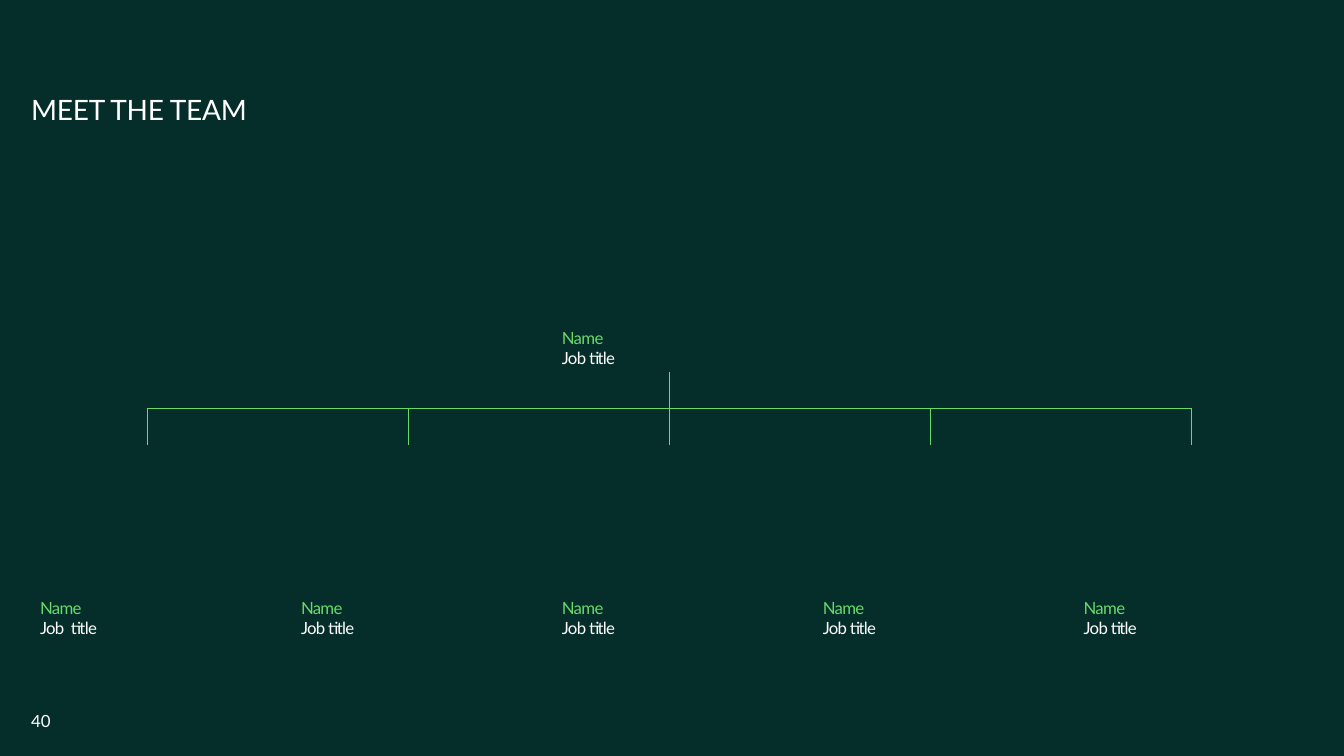
from lxml import etree
from pptx import Presentation
from pptx import util as u
from pptx.dml.color import RGBColor
from pptx.enum import shapes, text
from pptx.oxml.ns import qn

BACKGROUND = RGBColor(0x05, 0x2E, 0x2B)
GREEN = RGBColor(0x68, 0xDA, 0x6A)
WHITE = RGBColor(0xFF, 0xFF, 0xFF)

SLIDE_WIDTH, SLIDE_HEIGHT = 13.33, 7.5
MARGIN = 0.31
FIRST_LEFT, LAST_LEFT = 0.3, 10.65
JOB_TITLES = ["Job  title", "Job title", "Job title", "Job title", "Job title"]
COLUMN_STEP = (LAST_LEFT - FIRST_LEFT) / (len(JOB_TITLES) - 1)
LEADER_COLUMN = len(JOB_TITLES) // 2
LABEL_WIDTH, LABEL_HEIGHT, LABEL_STEP = 2.33, 0.3, 0.2
LEADER_TOP, TEAM_TOP = 3.2, 5.88
BAR_Y, STUB = 4.05, 0.36


def column_left(column):
    return FIRST_LEFT + column * COLUMN_STEP


def column_center(column):
    return column_left(column) + LABEL_WIDTH / 2


def add_text(slide, words, box, size, color, spacing=0, frame_format=None, paragraph_format=None):
    """Add a one-line text box; spacing is the tracking in points."""
    shape = slide.shapes.add_textbox(*(u.Inches(length) for length in box))
    frame = shape.text_frame
    frame.word_wrap = True
    for name, value in (frame_format or {}).items():
        setattr(frame, name, value)
    paragraph = frame.paragraphs[0]
    for name, value in (paragraph_format or {}).items():
        setattr(paragraph, name, value)
    run = paragraph.add_run()
    run.text = words
    for name, value in {"name": "Lato", "size": u.Pt(size)}.items():
        setattr(run.font, name, value)
    run.font.color.rgb = color
    if spacing:
        run.font._element.set("spc", str(round(spacing * 100)))


def add_member(slide, column, top, job_title):
    for row, (words, color) in enumerate([("Name", GREEN), (job_title, WHITE)]):
        box = (column_left(column), top + row * LABEL_STEP, LABEL_WIDTH, LABEL_HEIGHT)
        add_text(slide, words, box, 12, color, -0.5,
                 paragraph_format={"space_after": u.Pt(6)})


def add_line(slide, *ends):
    line = slide.shapes.add_connector(
        shapes.MSO_CONNECTOR.STRAIGHT, *(u.Inches(length) for length in ends))
    line.line.color.rgb = GREEN
    line.line.width = u.Pt(1)
    etree.SubElement(line._element.spPr, qn("a:effectLst"))


def add_branches(slide):
    centers = [column_center(column) for column in range(len(JOB_TITLES))]
    leader = centers[LEADER_COLUMN]
    add_line(slide, centers[0], BAR_Y, centers[-1], BAR_Y)
    add_line(slide, leader, BAR_Y - STUB, leader, BAR_Y)
    for center in centers:
        add_line(slide, center, BAR_Y, center, BAR_Y + STUB)


def main():
    presentation = Presentation()
    presentation.slide_width = u.Inches(SLIDE_WIDTH)
    presentation.slide_height = u.Inches(SLIDE_HEIGHT)
    slide = presentation.slides.add_slide(presentation.slide_layouts[6])
    slide.background.fill.solid()
    slide.background.fill.fore_color.rgb = BACKGROUND

    flush = dict.fromkeys(["margin_left", "margin_top", "margin_right", "margin_bottom"], 0)
    add_text(slide, "40", (MARGIN, 6.95, 0.39, 0.4), 12, WHITE,
             frame_format={**flush, "vertical_anchor": text.MSO_ANCHOR.MIDDLE})
    add_text(slide, "MEET THE TEAM", (MARGIN, 0.96, 6.3, 0.24), 20, WHITE, -0.2,
             frame_format=flush, paragraph_format={"line_spacing": 0.9})

    add_member(slide, LEADER_COLUMN, LEADER_TOP, "Job title")
    for column, job_title in enumerate(JOB_TITLES):
        add_member(slide, column, TEAM_TOP, job_title)
    add_branches(slide)
    presentation.save("out.pptx")


if __name__ == "__main__":
    main()
